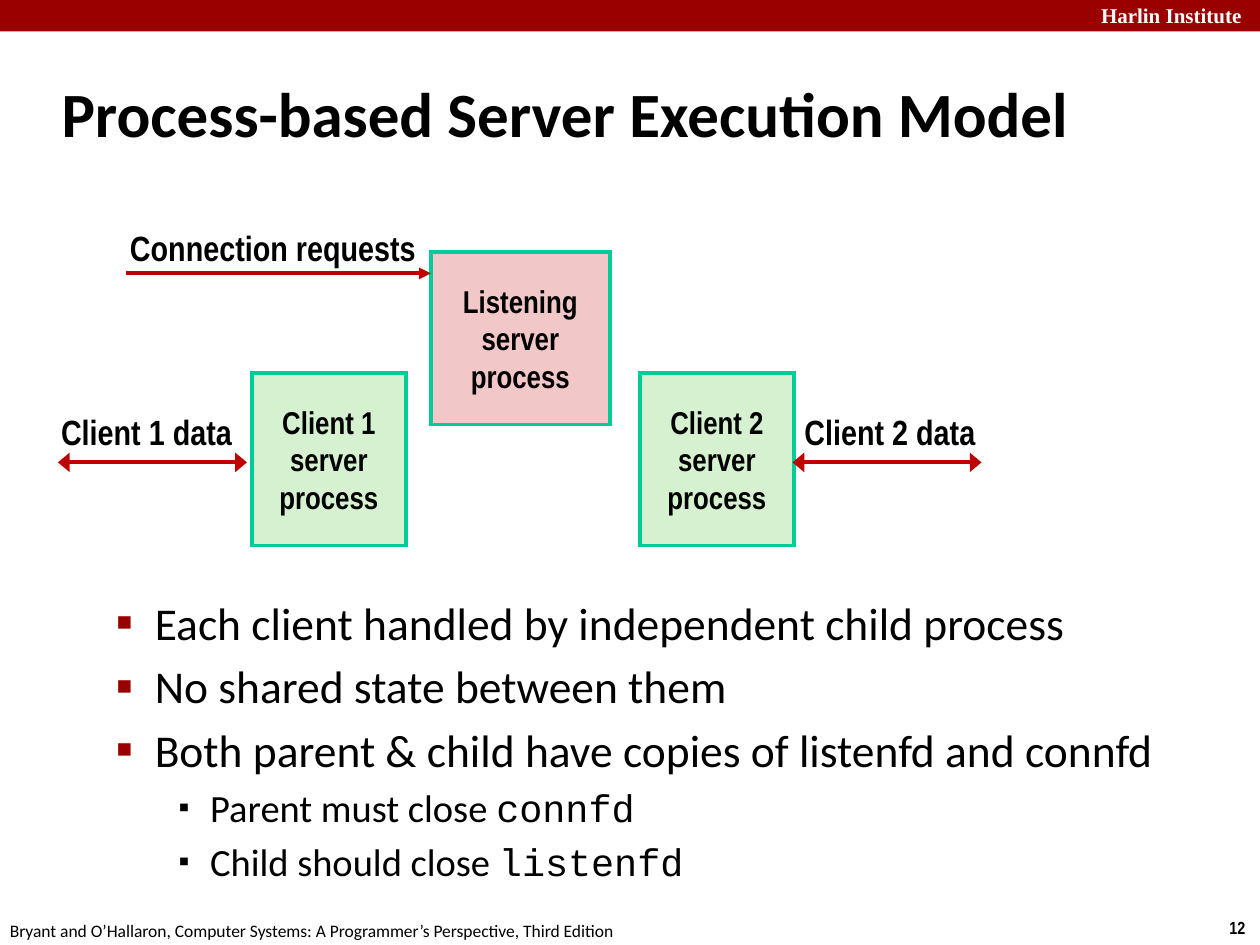
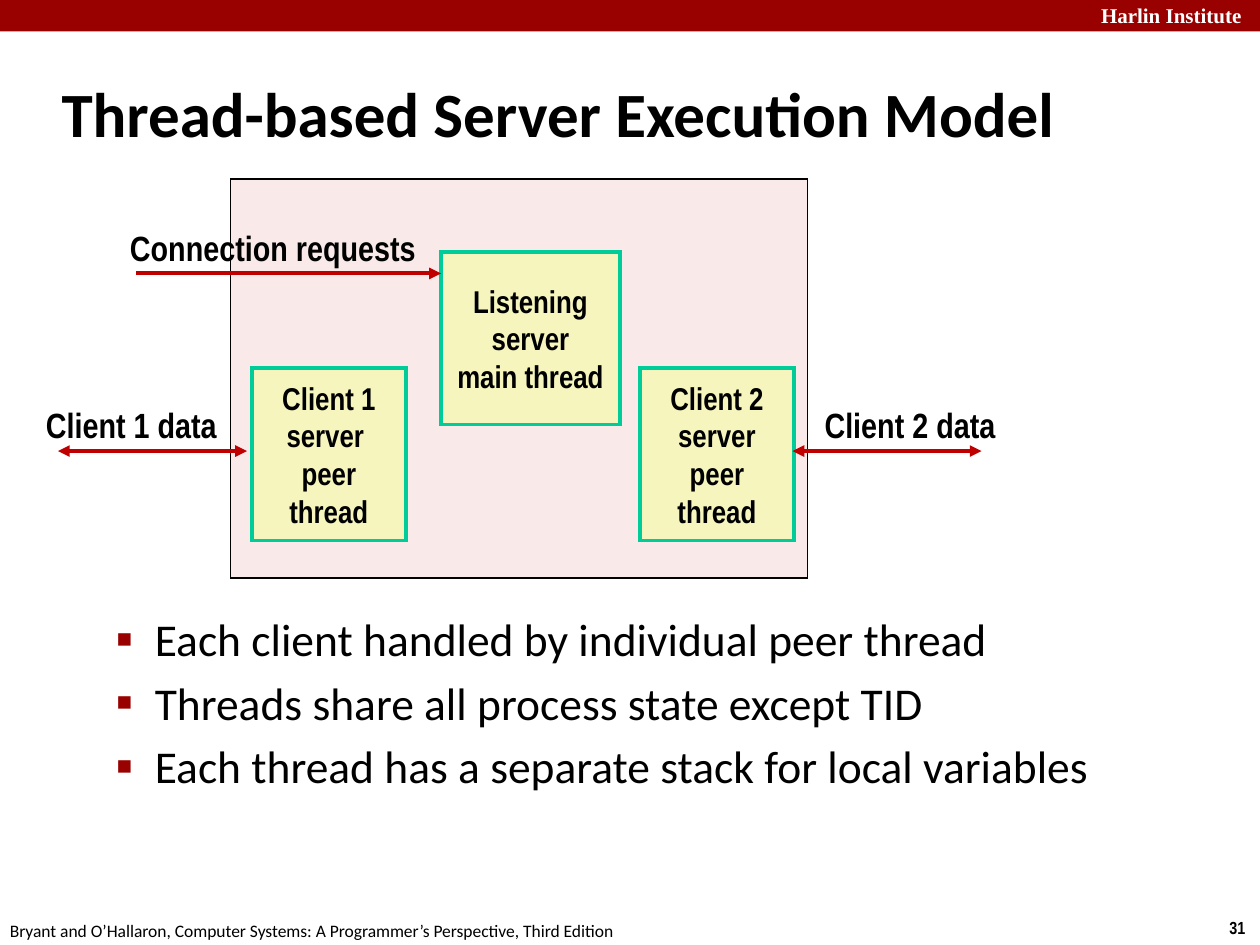
"""Build two slides comparing process-based and thread-based server models."""
from lxml import etree
from pptx import Presentation
from pptx.dml.color import RGBColor
from pptx.enum.shapes import MSO_CONNECTOR, MSO_SHAPE
from pptx.enum.text import MSO_ANCHOR, PP_ALIGN
from pptx.oxml.ns import qn
from pptx.util import Inches, Pt

RECTANGLE, STRAIGHT = MSO_SHAPE.RECTANGLE, MSO_CONNECTOR.STRAIGHT
LEFT, CENTER, RIGHT = PP_ALIGN.LEFT, PP_ALIGN.CENTER, PP_ALIGN.RIGHT
TOP, MIDDLE = MSO_ANCHOR.TOP, MSO_ANCHOR.MIDDLE
rgb = RGBColor.from_string

BAND, ARROW, BOX_EDGE, INK = "990000", "C00000", "00CC99", "000000"
ROSE, GREEN, YELLOW = "F1C7C7", "D5F1CF", "F6F5BD"
BODY, LABEL, CODE, SERIF = "Calibri", "Arial Narrow", "Courier New", "Times New Roman"
BOX_HEIGHT, CLIENT_WIDTH, LISTENER_WIDTH = 1.37, 1.22, 1.42
CLIENT_LEFTS = (2, 5.08)
DATA_ARROWS = ((0.46, 1.96), (6.29, 7.79))
BULLETS = {1: (26, 0.81, 0.31, 110, BAND), 2: (22, 1.25, 0.25, 80, INK)}
FOOTER = "Bryant and O’Hallaron, Computer Systems: A Programmer’s Perspective, Third Edition"

MODELS = [
    dict(
        title="Process-based Server Execution Model", number="12",
        listener="Listening\nserver\nprocess", listener_left=3.42, listener_fill=ROSE,
        clients=["Client 1\nserver\nprocess", "Client 2\nserver\nprocess"],
        client_top=2.96, client_fill=GREEN,
        data_lefts=(0.37, 6.27), data_top=3.21, data_y=3.67, head_width="lg",
        points_top=4.67,
        points=[
            (1, "Each client handled by independent child process"),
            (1, "No shared state between them"),
            (1, "Both parent & child have copies of listenfd and connfd"),
            (2, "Parent must close `connfd`"),
            (2, "Child should close `listenfd`"),
        ],
    ),
    dict(
        title="Thread-based Server Execution Model", number="31",
        shared_process=(1.83, 1.42, 4.58, 3.17),
        listener="Listening\nserver\nmain thread", listener_left=3.5, listener_fill=YELLOW,
        clients=["Client 1\nserver \npeer\nthread", "Client 2\nserver\npeer\nthread"],
        client_top=2.92, client_fill=YELLOW,
        data_lefts=(0.25, 6.43), data_top=3.15, data_y=3.58, head_width="med",
        points_top=4.8,
        points=[
            (1, "Each client handled by individual peer thread"),
            (1, "Threads share all process state except TID"),
            (1, "Each thread has a separate stack for local variables"),
        ],
    ),
]


def write(shape, text, size=18, font=LABEL, color=INK, bold=True, align=LEFT,
          anchor=TOP, wrap=False, level=None):
    """Add text to a shape, one paragraph a line, with backquoted parts as code."""
    frame = shape.text_frame
    frame.word_wrap, frame.vertical_anchor = wrap, anchor
    for line in text.split("\n"):
        first = frame.paragraphs[0]
        paragraph = frame.add_paragraph() if first.runs else first
        paragraph.alignment = align
        if level:
            size, margin, hang, bullet_size, bullet_color = BULLETS[level]
            paragraph.level = level
            paragraph.space_before = Pt(size * 0.2)
            props = paragraph._p.get_or_add_pPr()
            props.set("marL", str(Inches(margin)))
            props.set("indent", str(-Inches(hang)))
            tint = etree.SubElement(props, qn("a:buClr"))
            etree.SubElement(tint, qn("a:srgbClr"), val=bullet_color)
            etree.SubElement(props, qn("a:buSzPct"), val=str(bullet_size * 1000))
            etree.SubElement(props, qn("a:buFont"), typeface=SERIF)
            etree.SubElement(props, qn("a:buChar"), char="▪")
        for index, part in enumerate(line.split("`")):
            if part:
                run = paragraph.add_run()
                run.text = part
                run.font.name = CODE if index % 2 else font
                run.font.size, run.font.bold = Pt(size), bold
                run.font.color.rgb = rgb(color)


def add_box(slide, bounds, fill, edge=None, weight=2.25):
    """Add a flat filled rectangle with an optional sharp-cornered outline."""
    box = slide.shapes.add_shape(RECTANGLE, *map(Inches, bounds))
    box.shadow.inherit = False
    box.fill.solid()
    box.fill.fore_color.rgb = rgb(fill)
    if edge:
        box.line.color.rgb = rgb(edge)
        box.line.width = Pt(weight)
        etree.SubElement(box.line._get_or_add_ln(), qn("a:miter"), lim="800000")
    else:
        box.line.fill.background()
    return box


deck = Presentation()
deck.slide_width, deck.slide_height = Inches(10), Inches(7.5)

for model in MODELS:
    slide = deck.slides.add_slide(deck.slide_layouts[6])
    add_box(slide, (0, 0, 10, 0.25), BAND)
    if "shared_process" in model:
        shared = add_box(slide, model["shared_process"], ROSE, INK, 1)
        tint = shared.fill._xPr.find(qn("a:solidFill"))[0]
        etree.SubElement(tint, qn("a:alpha"), val="38000")

    label = dict(size=20, align=RIGHT)
    texts = [
        ((8.64, -0.03, 1.43, 0.3), "Harlin Institute",
         dict(size=12, font=SERIF, color="FFFFFF", wrap=True)),
        ((9.66, 7.23, 0.34, 0.27), model["number"], dict(size=10)),
        ((-0.02, 7.25, 5.08, 0.27), FOOTER, dict(size=10, font=BODY, bold=False)),
        ((0.39, 0.48, 8.3, 0.83), model["title"],
         dict(size=36, font=BODY, anchor=MIDDLE, wrap=True)),
        ((0.91, 1.75, 2.49, 0.44), "Connection requests", label),
    ]
    for number, left in enumerate(model["data_lefts"], 1):
        texts.append(((left, model["data_top"], 1.57, 0.44), f"Client {number} data", label))
    for bounds, text, style in texts:
        write(slide.shapes.add_textbox(*map(Inches, bounds)), text, **style)

    points = slide.shapes.add_textbox(*map(Inches, (0.32, model["points_top"], 9.09, 2.22)))
    for level, text in model["points"]:
        write(points, text, font=BODY, bold=False, wrap=True, level=level)

    processes = [
        (left, model["client_top"], CLIENT_WIDTH, model["client_fill"], text)
        for left, text in zip(CLIENT_LEFTS, model["clients"])
    ]
    listener_left = model["listener_left"]
    processes.append((listener_left, 2, LISTENER_WIDTH, model["listener_fill"], model["listener"]))
    for left, top, width, fill, text in processes:
        process = add_box(slide, (left, top, width, BOX_HEIGHT), fill, BOX_EDGE)
        write(process, text, align=CENTER, anchor=MIDDLE)

    arrows = [(listener_left - 2.42, listener_left, 2.17, ["tailEnd"], "med")]
    for start, end in DATA_ARROWS:
        arrows.append((start, end, model["data_y"], ["headEnd", "tailEnd"], model["head_width"]))
    for start, end, y, ends, head_width in arrows:
        arrow = slide.shapes.add_connector(STRAIGHT, *map(Inches, (start, y, end, y)))
        arrow.line.color.rgb = rgb(ARROW)
        arrow.line.width = Pt(2.25)
        outline = arrow.line._get_or_add_ln()
        for end_tag in ends:
            etree.SubElement(outline, qn(f"a:{end_tag}"), type="triangle", w=head_width, len="med")
        etree.SubElement(arrow._element.spPr, qn("a:effectLst"))

deck.save("out.pptx")
